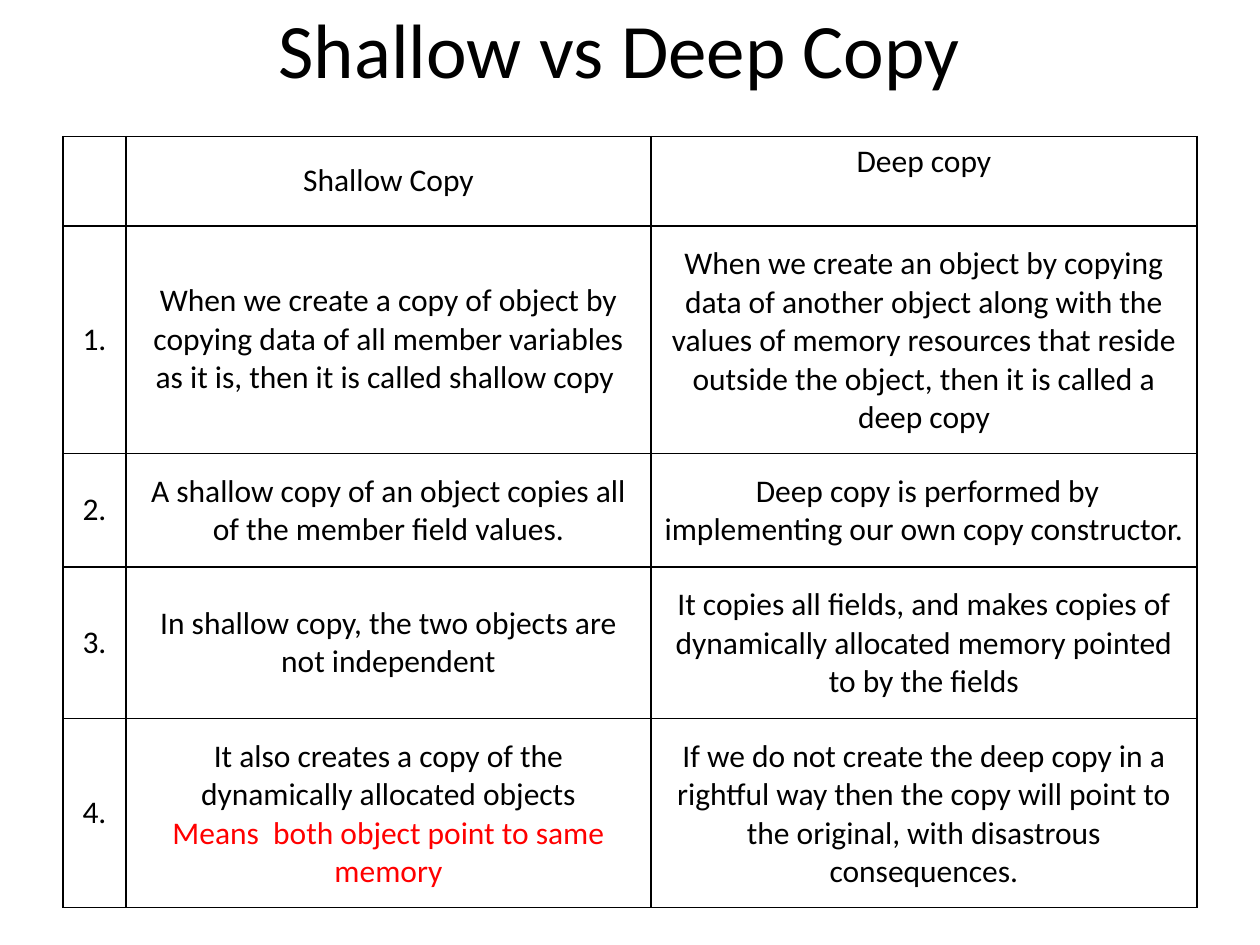
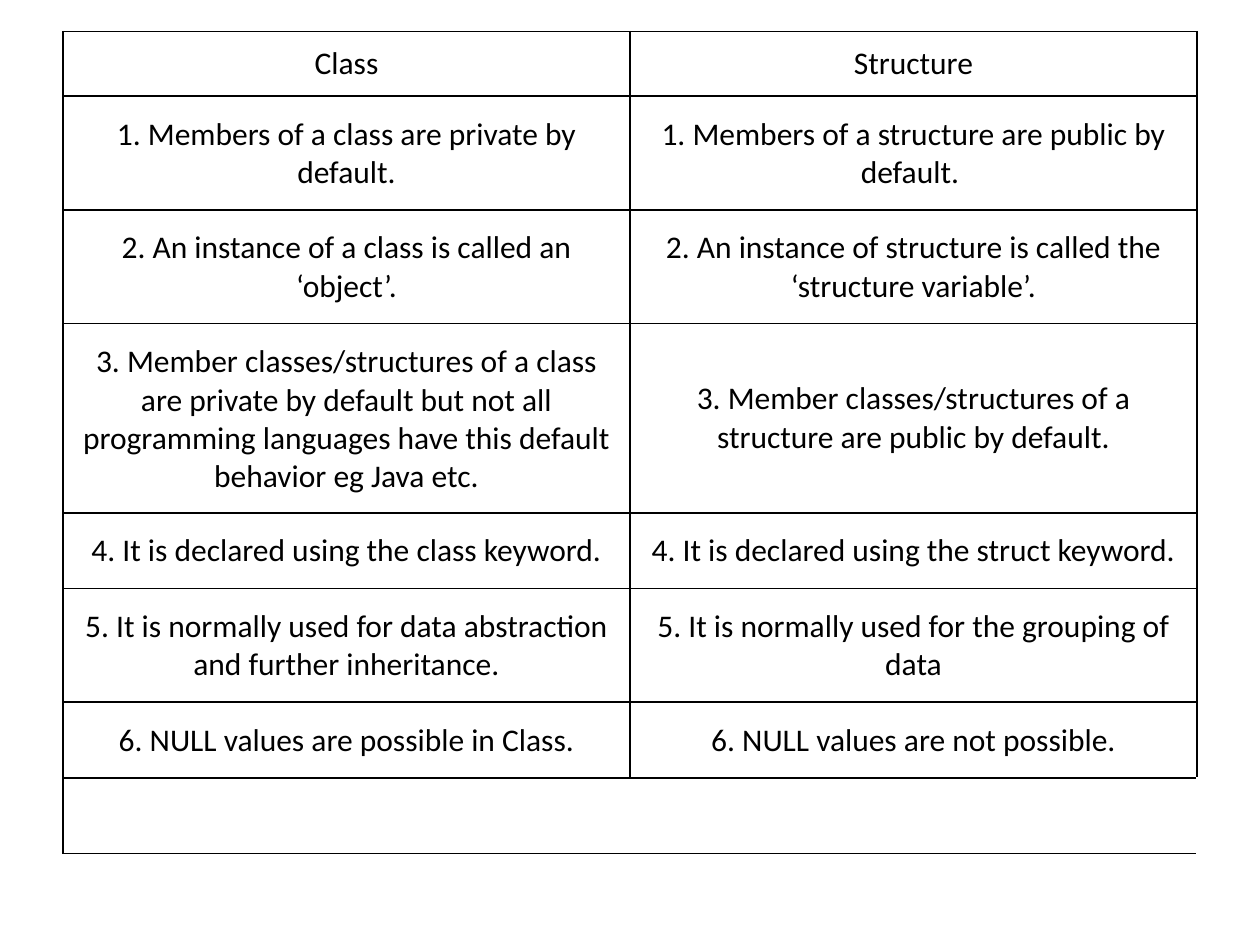
import pptx
import pptx.util
import pptx.dml.color
import pptx.enum.text
import pptx.oxml
import pptx.oxml.ns

Pt = pptx.util.Pt
CENTER = pptx.enum.text.PP_ALIGN.CENTER
TOP = pptx.enum.text.MSO_ANCHOR.TOP
MIDDLE = pptx.enum.text.MSO_ANCHOR.MIDDLE

# Shared look
FONT = "Calibri"
BLACK, WHITE, RED = "000000", "FFFFFF", "FF0000"
TITLE_SIZE, BODY_SIZE = 44, 18
TABLE_LEFT = 36
SIDE_MARGIN, ROW_MARGIN = 7.2, 10.8
ALL_SIDES = "LRTB"

COPY_COLUMNS = [36, 300, 312]
COPY_HEIGHTS = [51, 130, 65, 86, 108]
COPY_ROWS = [
    ["", "Shallow Copy", "Deep copy"],
    ["1.",
     "When we create a copy of object by copying data of all member variables "
     "as it is, then it is called shallow copy ",
     "When we create an object by copying data of another object along with the "
     "values of memory resources that reside outside the object, then it is "
     "called a deep copy"],
    ["2.",
     "A shallow copy of an object copies all of the member field values.",
     " Deep copy is performed by implementing our own copy constructor."],
    ["3.",
     "In shallow copy, the two objects are not independent",
     "It copies all fields, and makes copies of dynamically allocated memory "
     "pointed to by the fields"],
    ["4.",
     "It also creates a copy of the dynamically allocated objects",
     "If we do not create the deep copy in a rightful way then the copy will "
     "point to the original, with disastrous consequences."],
]
SHARED_MEMORY_REMARK = "Means  both object point to same memory"

CLASS_COLUMNS = [324, 324]
CLASS_HEIGHTS = [37, 65, 65, 108, 43, 65, 43, 43]
CLASS_ROWS = [
    ["Class", "Structure"],
    ["1. Members of a class are private by default.",
     "1. Members of a structure are public by default. "],
    ["2. An instance of a class is called an ‘object’.",
     "2. An instance of structure is called the ‘structure variable’."],
    ["3. Member classes/structures of a class are private by default but not all "
     "programming languages have this default behavior eg Java etc.",
     "3. Member classes/structures of a structure are public by default."],
    ["4. It is declared using the class keyword.",
     "4. It is declared using the struct keyword."],
    ["5. It is normally used for data abstraction and further inheritance.",
     "5. It is normally used for the grouping of data"],
    ["6. NULL values are possible in Class.",
     "6. NULL values are not possible."],
    ["", ""],
]


def rgb(hex_color):
    return pptx.dml.color.RGBColor.from_string(hex_color)


def write(paragraph, text, size=BODY_SIZE, color=BLACK, align=CENTER):
    paragraph.alignment = align
    paragraph.font.size = Pt(size)
    if text:
        run = paragraph.add_run()
        run.text = text
        run.font.name = FONT
        run.font.size = Pt(size)
        run.font.color.rgb = rgb(color)


def add_title(slide, text):
    title = slide.shapes.add_textbox(Pt(30), Pt(-18), Pt(648), Pt(90))
    frame = title.text_frame
    frame.word_wrap = True
    frame.vertical_anchor = MIDDLE
    write(frame.paragraphs[0], text, size=TITLE_SIZE)


def set_margins(cell, side, vertical):
    cell.margin_left = cell.margin_right = Pt(side)
    cell.margin_top = cell.margin_bottom = Pt(vertical)


def set_borders(cell, sides):
    """Replace the cell's borders; they must come before its fill."""
    properties = cell._tc.get_or_add_tcPr()
    for side in ALL_SIDES:
        for old in properties.findall(pptx.oxml.ns.qn(f"a:ln{side}")):
            properties.remove(old)
    for position, side in enumerate(s for s in ALL_SIDES if s in sides):
        properties.insert(position, pptx.oxml.parse_xml(
            f'<a:ln{side} {pptx.oxml.ns.nsdecls("a")} w="{Pt(1)}">'
            f'<a:solidFill><a:srgbClr val="{BLACK}"/></a:solidFill></a:ln{side}>'))


def add_comparison(slide, top, columns, heights, rows):
    frame = slide.shapes.add_table(
        len(rows), len(columns), Pt(TABLE_LEFT), Pt(top),
        Pt(sum(columns)), Pt(sum(heights)))
    table = frame.table
    table.first_row = table.horz_banding = False
    for column, width in zip(table.columns, columns):
        column.width = Pt(width)
    for row, height, texts in zip(table.rows, heights, rows):
        row.height = Pt(height)
        for cell, text in zip(row.cells, texts):
            cell.fill.solid()
            cell.fill.fore_color.rgb = rgb(WHITE)
            cell.vertical_anchor = MIDDLE
            set_margins(cell, SIDE_MARGIN, ROW_MARGIN)
            set_borders(cell, ALL_SIDES)
            write(cell.text_frame.paragraphs[0], text)
    return table


def build_copy_slide(slide):
    add_title(slide, "Shallow vs Deep Copy")
    copies = add_comparison(slide, 78, COPY_COLUMNS, COPY_HEIGHTS, COPY_ROWS)
    deep_heading = copies.cell(0, 2)
    deep_heading.vertical_anchor = TOP
    set_margins(deep_heading, SIDE_MARGIN, 3.6)
    shared_memory = copies.cell(4, 1).text_frame
    write(shared_memory.add_paragraph(), SHARED_MEMORY_REMARK, color=RED)


def build_class_slide(slide):
    kinds = add_comparison(slide, 18, CLASS_COLUMNS, CLASS_HEIGHTS, CLASS_ROWS)
    for heading, side in zip(kinds.rows[0].cells, (2.88, SIDE_MARGIN)):
        set_margins(heading, side, 7.2)
    # Closing row spans both columns and stays open on the right
    closing, covered = kinds.rows[len(CLASS_ROWS) - 1].cells
    closing.merge(covered)
    set_borders(closing, "LTB")
    set_borders(covered, "TB")


def main():
    deck = pptx.Presentation()
    deck.slide_width, deck.slide_height = Pt(720), Pt(540)
    blank = deck.slide_layouts[6]
    for build in (build_copy_slide, build_class_slide):
        build(deck.slides.add_slide(blank))
    deck.save("out.pptx")


if __name__ == "__main__":
    main()
